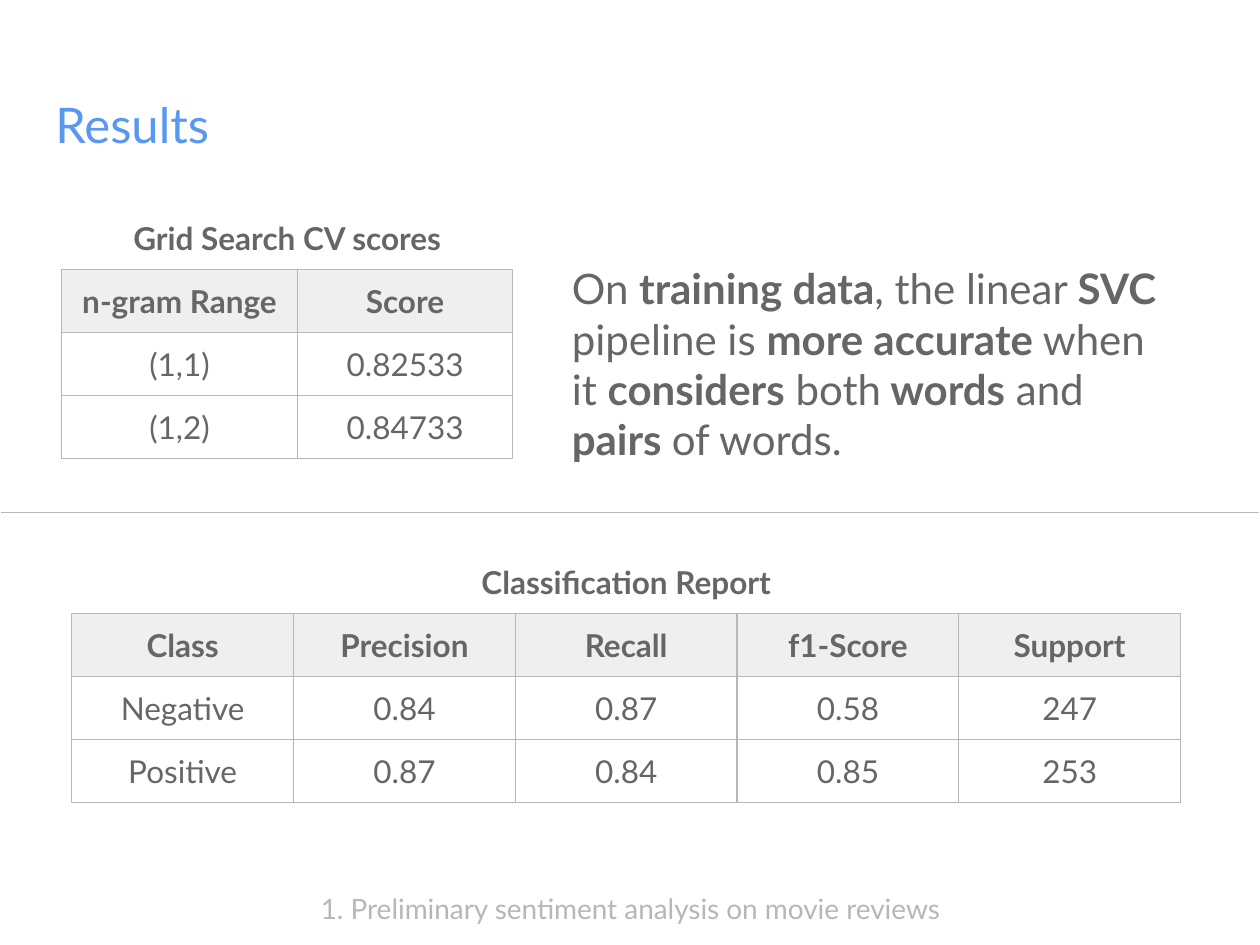
from lxml import etree
from pptx import Presentation
from pptx import util as u
from pptx.dml.color import RGBColor
from pptx.enum import shapes, text
from pptx.oxml import ns

GREY, RULE, HEADER = "666666", "B7B7B7", "EFEFEF"


def rgb(value):
    """Turn a hex string into a colour."""
    return RGBColor.from_string(value)


def write(frame, words, size=18, color=GREY, bold=False, align=text.PP_ALIGN.CENTER,
          anchor=text.MSO_ANCHOR.MIDDLE):
    """Fill a text frame, switching bold at each ** mark."""
    frame.word_wrap = True
    frame.auto_size = text.MSO_AUTO_SIZE.NONE
    frame.vertical_anchor = anchor
    frame.margin_left = frame.margin_right = u.Inches(0.1)
    frame.margin_top = frame.margin_bottom = u.Inches(0.1)
    paragraph = frame.paragraphs[0]
    paragraph.alignment = align
    for index, part in enumerate(words.split("**")):
        if part:
            run = paragraph.add_run()
            run.text = part
            run.font.name = "Lato"
            run.font.size = u.Pt(size)
            run.font.bold = bold or index % 2 == 1
            run.font.color.rgb = rgb(color)


def add_text(slide, words, left, top, width, height, **format):
    """Add a text box."""
    box = slide.shapes.add_textbox(*map(u.Inches, (left, top, width, height)))
    write(box.text_frame, words, **format)


def set_borders(cell, sides):
    """Draw the named sides of a cell and hide the others."""
    properties = cell._tc.get_or_add_tcPr()
    for side in "LRTB":
        line = etree.SubElement(properties, ns.qn(f"a:ln{side}"), w=str(u.Pt(0.75)))
        if side in sides:
            fill = etree.SubElement(line, ns.qn("a:solidFill"))
            etree.SubElement(fill, ns.qn("a:srgbClr"), val=RULE)
        else:
            etree.SubElement(line, ns.qn("a:noFill"))


def add_scores(slide, caption, rows, left, top, widths, row_height=0.5):
    """Add a table with a merged caption row above its header row."""
    grid = [[caption] + [""] * (len(widths) - 1)] + rows
    table = slide.shapes.add_table(
        len(grid), len(widths), u.Inches(left), u.Inches(top),
        u.Inches(sum(widths)), u.Inches(row_height * len(grid))).table
    table.first_row = table.horz_banding = False
    for column, width in zip(table.columns, widths):
        column.width = u.Inches(width)
    for r, row in enumerate(grid):
        for c, words in enumerate(row):
            cell = table.cell(r, c)
            write_cell(cell, words, bold=r < 2)
            set_borders(cell, "LRTB" if r else "B")
            if r == 1:
                cell.fill.solid()
                cell.fill.fore_color.rgb = rgb(HEADER)
            else:
                cell.fill.background()
    table.cell(0, 0).merge(table.cell(0, len(widths) - 1))


def write_cell(cell, words, bold):
    """Write centred text in a table cell with even margins."""
    write(cell.text_frame, words, bold=bold, anchor=text.MSO_ANCHOR.TOP)
    cell.vertical_anchor = text.MSO_ANCHOR.TOP
    cell.margin_left = cell.margin_right = u.Inches(0.1)
    cell.margin_top = cell.margin_bottom = u.Inches(0.1)


def add_divider(slide, left, right, y):
    """Add a thin horizontal line."""
    divider = slide.shapes.add_connector(
        shapes.MSO_CONNECTOR.STRAIGHT, *map(u.Inches, (left, y, right, y)))
    divider.line.color.rgb = rgb(RULE)
    divider.line.width = u.Pt(0.75)
    etree.SubElement(divider._element.spPr, ns.qn("a:effectLst"))


def add_title(slide, words, left, top, width, height):
    """Place and format the slide title."""
    title = slide.shapes.title
    title.left, title.top, title.width, title.height = map(
        u.Inches, (left, top, width, height))
    write(title.text_frame, words, size=28, color="5898F1",
          align=text.PP_ALIGN.LEFT, anchor=text.MSO_ANCHOR.TOP)


def main():
    """Build the results slide."""
    deck = Presentation()
    deck.slide_width, deck.slide_height = u.Inches(10), u.Inches(7.5)
    slide = deck.slides.add_slide(deck.slide_layouts[5])
    add_title(slide, "Results", 0.34, 0.65, 9.32, 0.83)
    add_text(slide, "1. Preliminary sentiment analysis on movie reviews",
             1.75, 6.98, 6.51, 0.46, size=16, color=RULE)
    add_scores(slide, "Grid Search CV scores", [
        ["n-gram Range", "Score"],
        ["(1,1)", "0.82533"],
        ["(1,2)", "0.84733"],
    ], 0.49, 1.64, [1.87, 1.71])
    add_scores(slide, "Classification Report", [
        ["Class", "Precision", "Recall", "f1-Score", "Support"],
        ["Negative", "0.84", "0.87", "0.58", "247"],
        ["Positive", "0.87", "0.84", "0.85", "253"],
    ], 0.57, 4.37, [1.76] * 5)
    add_text(slide, "On **training data**, the linear **SVC** pipeline is "
             "**more accurate** when it **considers** both** words** and "
             "**pairs **of words.", 4.44, 2.04, 4.97, 1.69,
             size=24, align=text.PP_ALIGN.LEFT)
    add_divider(slide, 0.01, 9.99, 4.07)
    deck.save("out.pptx")


if __name__ == "__main__":
    main()
